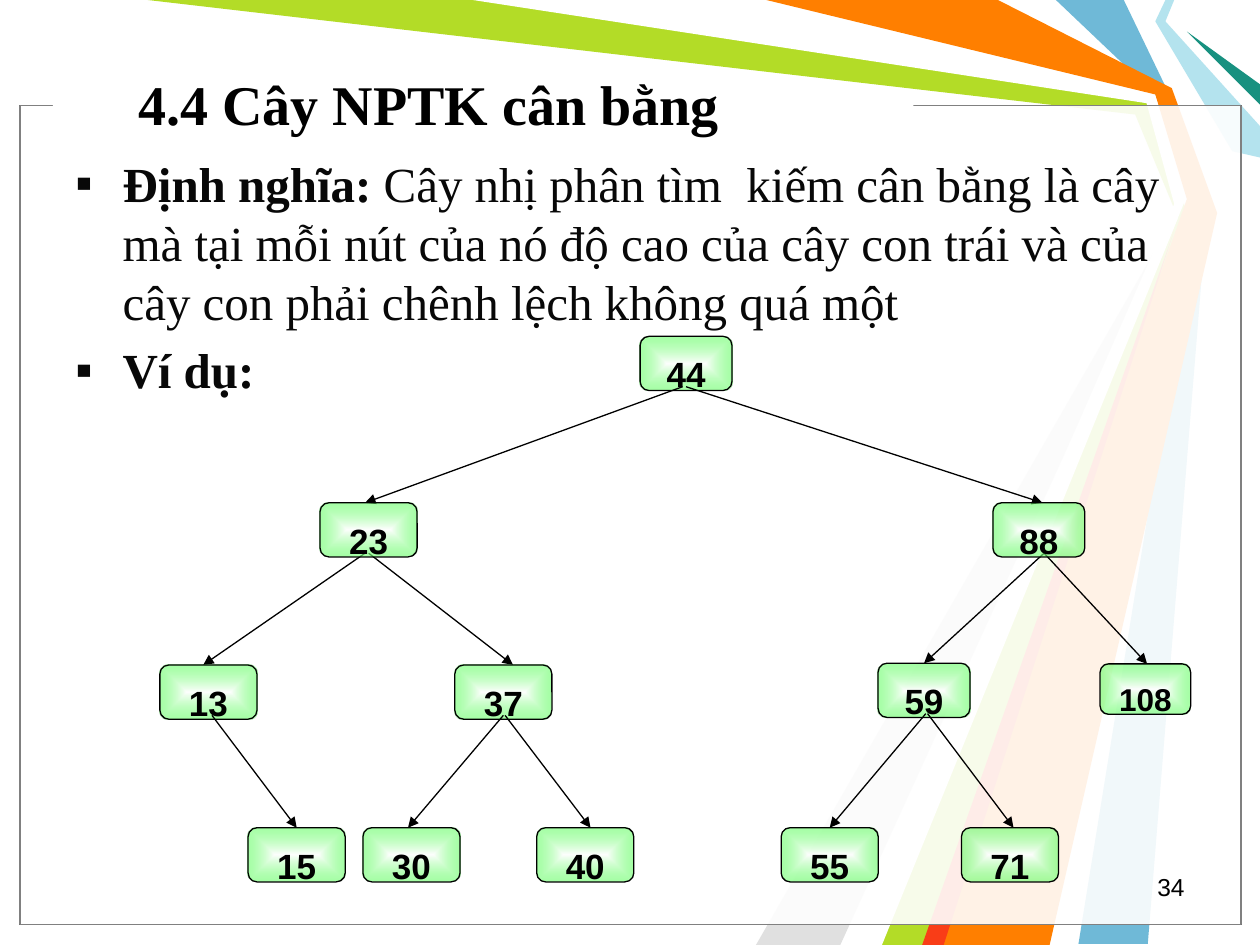
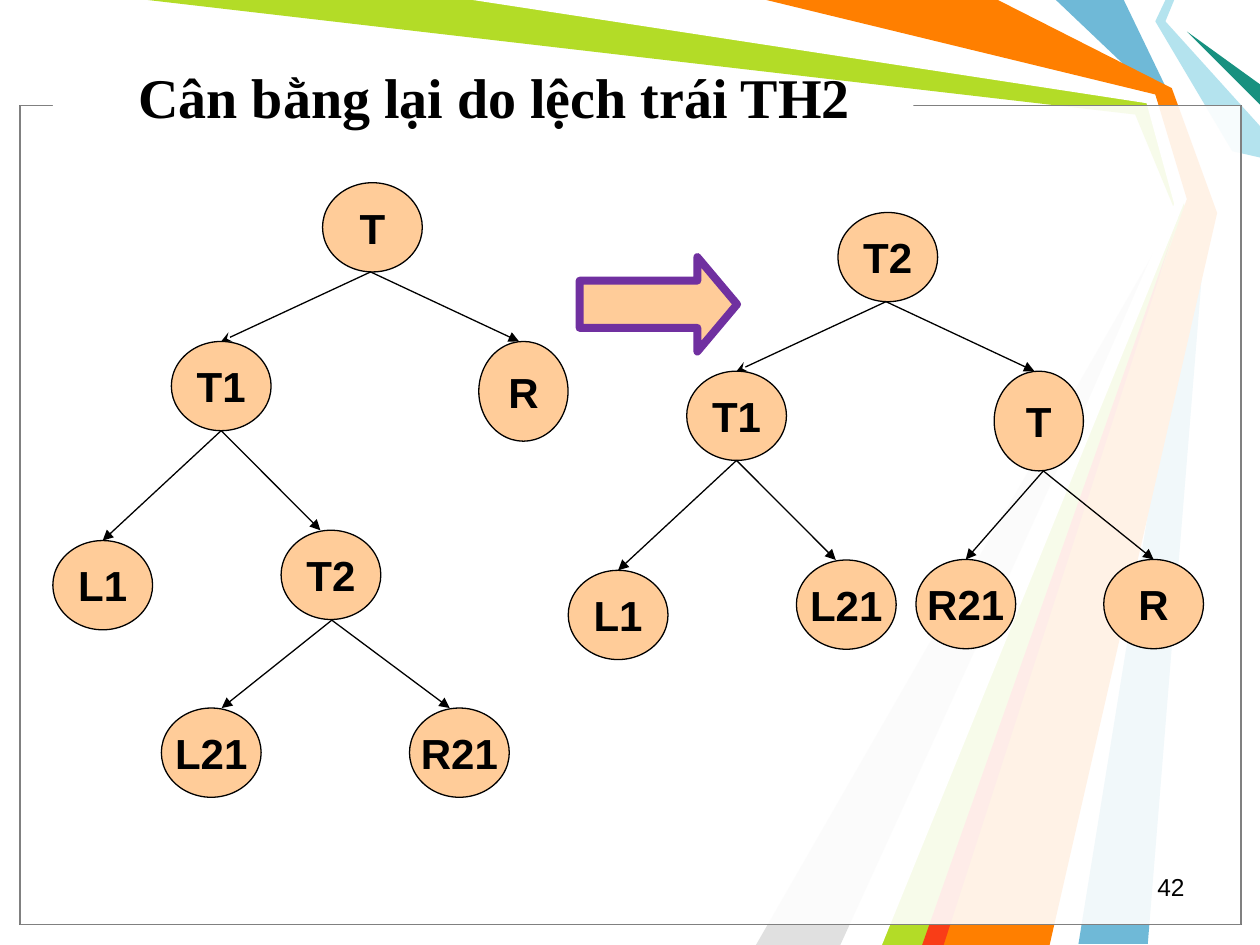
from typing import NamedTuple

from pptx import Presentation
from pptx.dml.color import RGBColor
from pptx.enum.shapes import MSO_CONNECTOR, MSO_SHAPE
from pptx.enum.text import MSO_ANCHOR, PP_ALIGN
from pptx.oxml import parse_xml
from pptx.oxml.ns import nsdecls
from pptx.util import Pt

BLACK = RGBColor(0x00, 0x00, 0x00)
WHITE = RGBColor(0xFF, 0xFF, 0xFF)
INK = RGBColor(0x08, 0x08, 0x08)
FRAME = RGBColor(0x80, 0x80, 0x80)
PEACH = RGBColor(0xFF, 0xCC, 0x99)
PURPLE = RGBColor(0x70, 0x30, 0xA0)
MINT = RGBColor(0x69, 0xFF, 0x69)
BLUE = RGBColor(0x6F, 0xB9, 0xD7)
GREEN = RGBColor(0xB3, 0xDC, 0x27)
GREY = RGBColor(0xE0, 0xE0, 0xE0)
PALE = RGBColor(0xB4, 0xE3, 0xEE)
TEAL = RGBColor(0x18, 0x91, 0x80)
ORANGE = RGBColor(0xFF, 0x7F, 0x00)
RED = RGBColor(0xF9, 0x3D, 0x17)
SERIF, SANS = "Times New Roman", "Arial"

RIBBONS = [
    (BLUE, [(642.2, 0), (668.9, 55.4), (689.8, 120.2), (655.9, 539.3),
            (616.3, 539.3), (684, 120.2), (660.2, 54), (603.4, 0)]),
    (GREEN, [(84.2, 0), (275.8, 0), (658, 56.2), (678.2, 121.7),
             (534.2, 540), (498.2, 540), (673.2, 124.6), (648.7, 65.5)]),
    (GREY, [(480.2, 540), (667.4, 130.3), (432, 540)]),
    (WHITE, [(270, 0), (655.2, 59), (671, 116.6), (486, 540),
             (504, 540), (677.5, 113.8), (660.2, 54), (432, 0)]),
    (PALE, [(666, 0), (660.2, 12.2), (704.2, 86.4), (720, 90),
            (720, 72), (666, 12.2), (671, 0)]),
    (TEAL, [(720, 59.8), (678.2, 18), (720, 48.2)]),
    (ORANGE, [(437.8, 0), (570.2, 0), (669.6, 50.4), (695.5, 121.7),
              (599.8, 540), (527.8, 540), (678.2, 113.8), (660.2, 54)]),
    (RED, [(527, 540), (671, 131.8), (539.3, 540)]),
]


class Box(NamedTuple):
    """Position and size of an element in points."""
    x: float
    y: float
    w: float = 55.5
    h: float = 31

    def emu(self):
        """Return the four lengths for python-pptx."""
        return [Pt(v) for v in self]


class Deck:
    """Shared style and the slide being built."""

    def __init__(self):
        """Open an empty 10 by 7.5 inch presentation."""
        self.prs = Presentation()
        self.prs.slide_width, self.prs.slide_height = Pt(720), Pt(540)
        self.shapes = None

    def slide(self, title, title_box, number):
        """Start a slide with ribbons, frame, title and page number."""
        layout = self.prs.slide_layouts[6]
        self.shapes = self.prs.slides.add_slide(layout).shapes
        for color, points in RIBBONS:
            self.ribbon(color, points)
        for line in (BLACK, FRAME):
            s = self.shape(MSO_SHAPE.RECTANGLE, Box(11.5, 60.5, 697.7, 468), WHITE, line)
            clr = s.fill._xPr.solidFill[0]
            clr.append(parse_xml(f'<a:alpha {nsdecls("a")} val="69000"/>'))
        self.shape(MSO_SHAPE.RECTANGLE, Box(30.2, 53.3, 491.8, 12.2), WHITE)
        tf = self.textbox(title_box)
        tf.vertical_anchor = MSO_ANCHOR.MIDDLE
        self.run(tf.paragraphs[0], title, 32, SERIF, bold=True)
        p = self.textbox(Box(516.2, 494.6, 167.8, 23.8)).paragraphs[0]
        p.alignment = PP_ALIGN.RIGHT
        self.run(p, str(number), 14)

    def ribbon(self, color, points):
        """Draw one filled polygon."""
        pts = [(Pt(x), Pt(y)) for x, y in points]
        fb = self.shapes.build_freeform(*pts[0])
        fb.add_line_segments(pts[1:], close=True)
        self.paint(fb.convert_to_shape(), color)

    def paint(self, s, fill=None, line=None, width=0.75):
        """Set fill and outline and drop the shadow."""
        s.shadow.inherit = False
        if fill is not None:
            s.fill.solid()
            s.fill.fore_color.rgb = fill
        if line is None:
            s.line.fill.background()
        else:
            s.line.color.rgb = line
            s.line.width = Pt(width)

    def shape(self, kind, box, fill=None, line=None, width=0.75):
        """Add a preset shape."""
        s = self.shapes.add_shape(kind, *box.emu())
        self.paint(s, fill, line, width)
        return s

    def textbox(self, box):
        """Add a wrapping text box and return its frame."""
        tf = self.shapes.add_textbox(*box.emu()).text_frame
        tf.word_wrap = True
        return tf

    def run(self, p, text, size, font=SANS, color=BLACK, bold=False):
        """Add a styled run to a paragraph."""
        r = p.add_run()
        r.text = text
        r.font.size, r.font.name, r.font.bold = Pt(size), font, bold
        r.font.color.rgb = color

    def bullets(self, box, items):
        """Add square bullets, each made of (text, bold) runs."""
        tf = self.textbox(box)
        for i, runs in enumerate(items):
            p = tf.add_paragraph() if i else tf.paragraphs[0]
            p.space_before = Pt(5.6)
            pPr = p._p.get_or_add_pPr()
            pPr.set("marL", str(Pt(27)))
            pPr.set("indent", str(-Pt(27)))
            pPr.append(parse_xml(f'<a:buFont {nsdecls("a")} typeface="{SANS}"/>'))
            pPr.append(parse_xml(f'<a:buChar {nsdecls("a")} char="▪"/>'))
            for text, bold in runs:
                self.run(p, text, 28, SERIF, INK, bold)

    def label(self, s, text, size):
        """Write a centred bold label in a shape."""
        p = s.text_frame.paragraphs[0]
        p.alignment = PP_ALIGN.CENTER
        self.run(p, text, size, bold=True)

    def key_node(self, text, box):
        """Add a rounded node with a glowing green fill."""
        s = self.shape(MSO_SHAPE.ROUNDED_RECTANGLE, box, line=BLACK)
        s._element.spPr.insert(2, parse_xml(
            f'<a:gradFill {nsdecls("a")} rotWithShape="1"><a:gsLst>'
            f'<a:gs pos="0"><a:srgbClr val="{WHITE}"/></a:gs>'
            f'<a:gs pos="100000"><a:srgbClr val="{MINT}"><a:alpha val="60000"/>'
            '</a:srgbClr></a:gs></a:gsLst><a:path path="shape">'
            '<a:fillToRect l="50000" t="50000" r="50000" b="50000"/>'
            '</a:path></a:gradFill>'))
        tf = s.text_frame
        tf.vertical_anchor = MSO_ANCHOR.TOP
        tf.margin_top, tf.margin_bottom = Pt(8), 0
        self.label(s, text, 18 if len(text) > 2 else 20)

    def subtree_node(self, text, box):
        """Add a peach ellipse."""
        s = self.shape(MSO_SHAPE.OVAL, box, PEACH, BLACK)
        s.text_frame.word_wrap = False
        s.text_frame.vertical_anchor = MSO_ANCHOR.MIDDLE
        self.label(s, text, 24)

    def edge(self, parent, child, dx1=0, dx2=0, lift=0, head="triangle"):
        """Draw an arrow from a parent's bottom to a child's top."""
        s = self.shapes.add_connector(
            MSO_CONNECTOR.STRAIGHT,
            Pt(parent.x + parent.w / 2 + dx1), Pt(parent.y + parent.h - lift),
            Pt(child.x + child.w / 2 + dx2), Pt(child.y))
        s.line.color.rgb = BLACK
        s.line.width = Pt(0.75)
        s.line._get_or_add_ln().append(
            parse_xml(f'<a:tailEnd {nsdecls("a")} type="{head}"/>'))
        s._element.spPr.append(parse_xml(f'<a:effectLst {nsdecls("a")}/>'))


def balanced_tree(deck):
    """Build the definition slide with its example tree."""
    deck.slide("4.4 Cây NPTK cân bằng", Box(72, 33.8, 496, 50.4), 34)
    deck.bullets(Box(36, 84.2, 648, 410.4), [
        [("Định nghĩa: ", True),
         ("Cây nhị phân tìm  kiếm cân bằng là cây mà tại mỗi nút của nó độ cao "
          "của cây con trái và của cây con phải chênh lệch không quá một", False)],
        [("Ví dụ:", True)],
    ])
    root = {"44": Box(365.8, 192.2, 52.5)}
    inner = {
        "23": Box(182.9, 287.3), "88": Box(567.4, 287.3, 52.5),
        "13": Box(91.4, 380), "37": Box(259.9, 380),
        "59": Box(501.8, 379, 52.5), "108": Box(628.6, 379.4, 51.8, 28.8),
    }
    leaf_x = {"15": 141.8, "30": 207.4, "40": 306.7, "55": 446.4, "71": 549.4}
    leaves = {key: Box(x, 473) for key, x in leaf_x.items()}
    boxes = {**root, **inner, **leaves}
    upper = [("44", "23", -2, -2), ("44", "88", 0, 2), ("23", "37", 0, 5.5),
             ("23", "13", -2, -3), ("88", "59", 3, 0), ("88", "108", 3, 1)]
    lower = [("37", "40", 1, 3), ("37", "30", 0, -2), ("59", "71", 2, 2),
             ("59", "55", 1, 0), ("13", "15", 2, 0)]
    for nodes, edges in ((root, upper), (inner, lower), (leaves, [])):
        for key, box in nodes.items():
            deck.key_node(key, box)
        for parent, child, dx1, dx2 in edges:
            deck.edge(boxes[parent], boxes[child], dx1, dx2, lift=2.2)


def subtree(deck, dx, dy, labels, lower, lower_edges):
    """Draw the common upper tree, shifted, and its own lower nodes."""
    top = [Box(184.3, 104.4, 57, 51), Box(97.9, 195.1, 57, 51),
           Box(273.6, 195.1, 51, 57), Box(30.2, 308.9, 57, 51),
           Box(160.6, 303, 57, 51)]
    boxes = {key: b._replace(x=b.x + dx, y=b.y + dy) for key, b in zip(labels, top)}
    boxes.update({key: Box(x, y, 57, 51) for key, x, y in lower})
    for key, box in boxes.items():
        deck.subtree_node(key, box)
    root, left, right, outer, middle = labels
    deck.edge(boxes[root], boxes[left], -1, head="stealth")
    edges = [(root, right, -1, -2.5), (left, middle, 0, -6), (left, outer, 0, 0)]
    for parent, child, dx1, dx2 in edges + lower_edges:
        deck.edge(boxes[parent], boxes[child], dx1, dx2)


def left_heavy_case(deck):
    """Build the rebalancing slide with the trees before and after."""
    deck.slide("Cân bằng lại do lệch trái TH2", Box(72, 36, 496, 38.2), 42)
    subtree(deck, 0, 0, ["T", "T1", "R", "L1", "T2"],
            [("R21", 234, 404.6), ("L21", 92.2, 404.6)],
            [("T2", "L21", 1, 6), ("T2", "R21", 0, -5.5)])
    subtree(deck, 294.5, 17, ["T2", "T1", "T", "L1", "L21"],
            [("R", 630.7, 319.7), ("R21", 523.4, 319.7)],
            [("T", "R21", 2.6, 0), ("T", "R", 2.6, 0)])
    s = deck.shape(MSO_SHAPE.RIGHT_ARROW, Box(331.2, 146.9, 90, 54), PEACH, PURPLE, 4.5)
    s.adjustments[1] = 0.42


def main():
    """Build both slides and save the file."""
    deck = Deck()
    balanced_tree(deck)
    left_heavy_case(deck)
    deck.prs.save("out.pptx")


if __name__ == "__main__":
    main()
